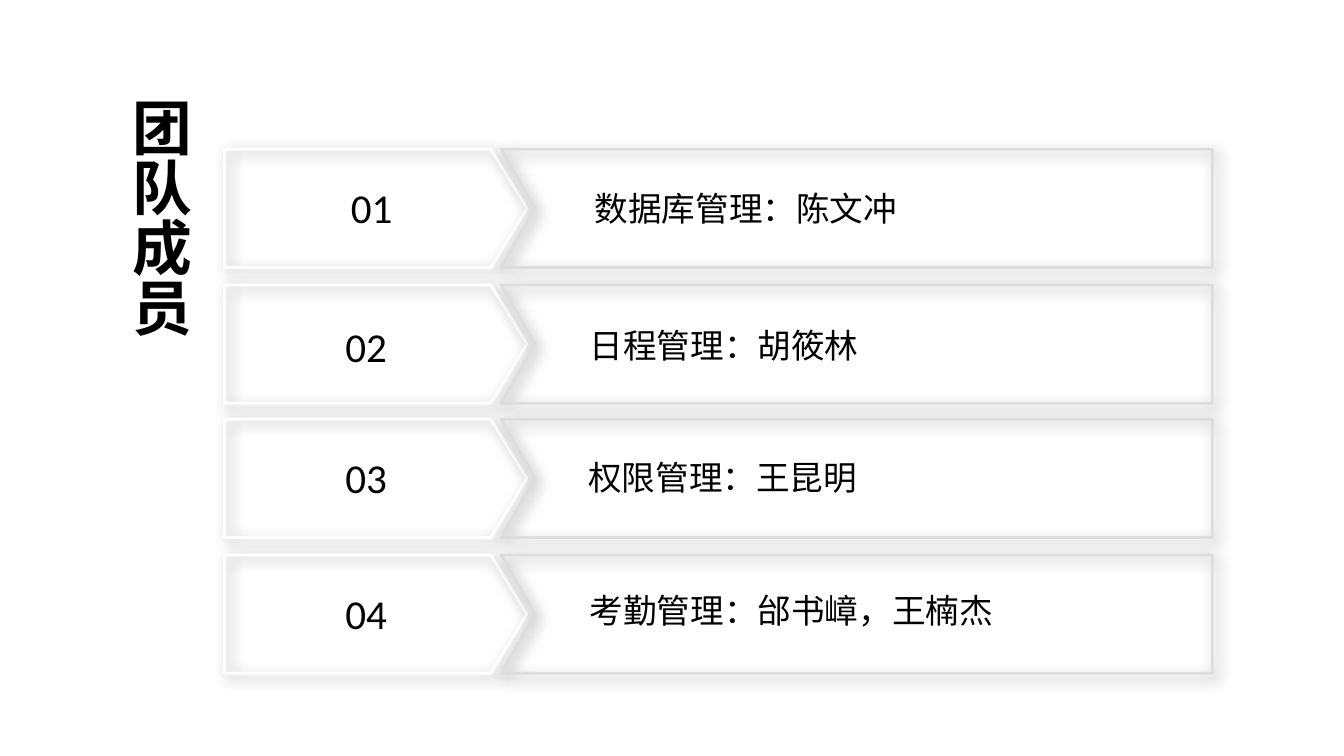
import dataclasses

import lxml.etree
import pptx
import pptx.dml.color
import pptx.enum.shapes
import pptx.enum.text
import pptx.oxml.ns
import pptx.util

PX = pptx.util.Inches(1) // 200
BLACK = pptx.dml.color.RGBColor(0x00, 0x00, 0x00)
WHITE = pptx.dml.color.RGBColor(0xFF, 0xFF, 0xFF)
GREY = pptx.dml.color.RGBColor(0xDD, 0xDD, 0xDD)
HAN_FONT = "Noto Sans CJK SC"
NUMBER_FONT = "Calibri"
ROW_HEIGHT = 176
TAG_LEFT, TAG_WIDTH = 334, 450
BAR_LEFT, BAR_RIGHT, BAR_NOTCH = 746, 1804, 50
CENTER = pptx.enum.text.PP_ALIGN.CENTER
LEFT = pptx.enum.text.PP_ALIGN.LEFT


@dataclasses.dataclass(frozen=True)
class Area:
    left: int
    top: int
    width: int
    height: int

    def emu(self) -> list[int]:
        return [length * PX for length in dataclasses.astuple(self)]


@dataclasses.dataclass(frozen=True)
class Member:
    top: int
    number: str
    number_area: Area
    duty: str
    duty_area: Area
    duty_align: pptx.enum.text.PP_ALIGN = LEFT


MEMBERS = [
    Member(222, "01", Area(414, 262, 278, 94), "数据库管理：陈文冲", Area(670, 270, 880, 80), CENTER),
    Member(424, "02", Area(490, 468, 110, 94), "日程管理：胡筱林", Area(858, 474, 760, 80)),
    Member(624, "03", Area(490, 664, 110, 94), "权限管理：王昆明", Area(856, 670, 760, 80)),
    Member(826, "04", Area(490, 866, 110, 94), "考勤管理：邰书嶂，王楠杰", Area(858, 868, 868, 80)),
]


def add_child(parent, tag: str, **attributes: str):
    return lxml.etree.SubElement(parent, pptx.oxml.ns.qn(tag), attributes)


def style_outline(shape, color: pptx.dml.color.RGBColor) -> None:
    shape.fill.background()
    shape.line.color.rgb = color
    shape.line.width = pptx.util.Pt(1.5)
    shape.shadow.inherit = False
    effects = shape._element.spPr.find(pptx.oxml.ns.qn("a:effectLst"))
    shadow = add_child(
        effects, "a:outerShdw", blurRad=str(pptx.util.Pt(8)), dist=str(pptx.util.Pt(3)),
        dir="2700000", algn="tl", rotWithShape="0",
    )
    shadow_color = add_child(shadow, "a:srgbClr", val=str(BLACK))
    add_child(shadow_color, "a:alpha", val="40000")


def write_text(box, text: str, size: int, font: str, align, bold: bool = False) -> None:
    para = box.text_frame.paragraphs[0]
    para.text = text
    para.alignment = align
    para.font.size = pptx.util.Pt(size)
    para.font.bold = bold
    para.font.name = font
    para.font.color.rgb = BLACK
    defaults = para._p.pPr.find(pptx.oxml.ns.qn("a:defRPr"))
    add_child(defaults, "a:ea", typeface=font)


def add_label(page, area: Area, text: str, size: int, font: str, align) -> None:
    box = page.shapes.add_textbox(*area.emu())
    box.text_frame.word_wrap = True
    box.text_frame.auto_size = pptx.enum.text.MSO_AUTO_SIZE.SHAPE_TO_FIT_TEXT
    write_text(box, text, size, font, align)


def add_member(page, member: Member) -> None:
    tag_area = Area(TAG_LEFT, member.top, TAG_WIDTH, ROW_HEIGHT)
    tag = page.shapes.add_shape(pptx.enum.shapes.MSO_SHAPE.PENTAGON, *tag_area.emu())
    tag.adjustments[0] = 0.305
    style_outline(tag, WHITE)

    bottom = member.top + ROW_HEIGHT
    builder = page.shapes.build_freeform(BAR_LEFT, member.top, scale=PX)
    builder.add_line_segments([
        (BAR_RIGHT, member.top),
        (BAR_RIGHT, bottom),
        (BAR_LEFT, bottom),
        (BAR_LEFT + BAR_NOTCH, member.top + ROW_HEIGHT // 2),
    ])
    style_outline(builder.convert_to_shape(), GREY)

    add_label(page, member.duty_area, member.duty, 18, HAN_FONT, member.duty_align)
    add_label(page, member.number_area, member.number, 22, NUMBER_FONT, CENTER)


def format_title(page) -> None:
    title = page.shapes.title
    title.left, title.top, title.width, title.height = Area(164, 136, 148, 380).emu()
    frame = title.text_frame
    frame.word_wrap = False
    frame.auto_size = pptx.enum.text.MSO_AUTO_SIZE.SHAPE_TO_FIT_TEXT
    frame.vertical_anchor = pptx.enum.text.MSO_ANCHOR.TOP
    frame._txBody.bodyPr.set("vert", "eaVert")
    write_text(title, "团队成员", 32, HAN_FONT, CENTER, bold=True)


def main() -> None:
    deck = pptx.Presentation()
    deck.slide_width, deck.slide_height = 2000 * PX, 1125 * PX
    page = deck.slides.add_slide(deck.slide_layouts.get_by_name("Title Only"))
    format_title(page)
    for member in MEMBERS:
        add_member(page, member)
    deck.save("out.pptx")


if __name__ == "__main__":
    main()
